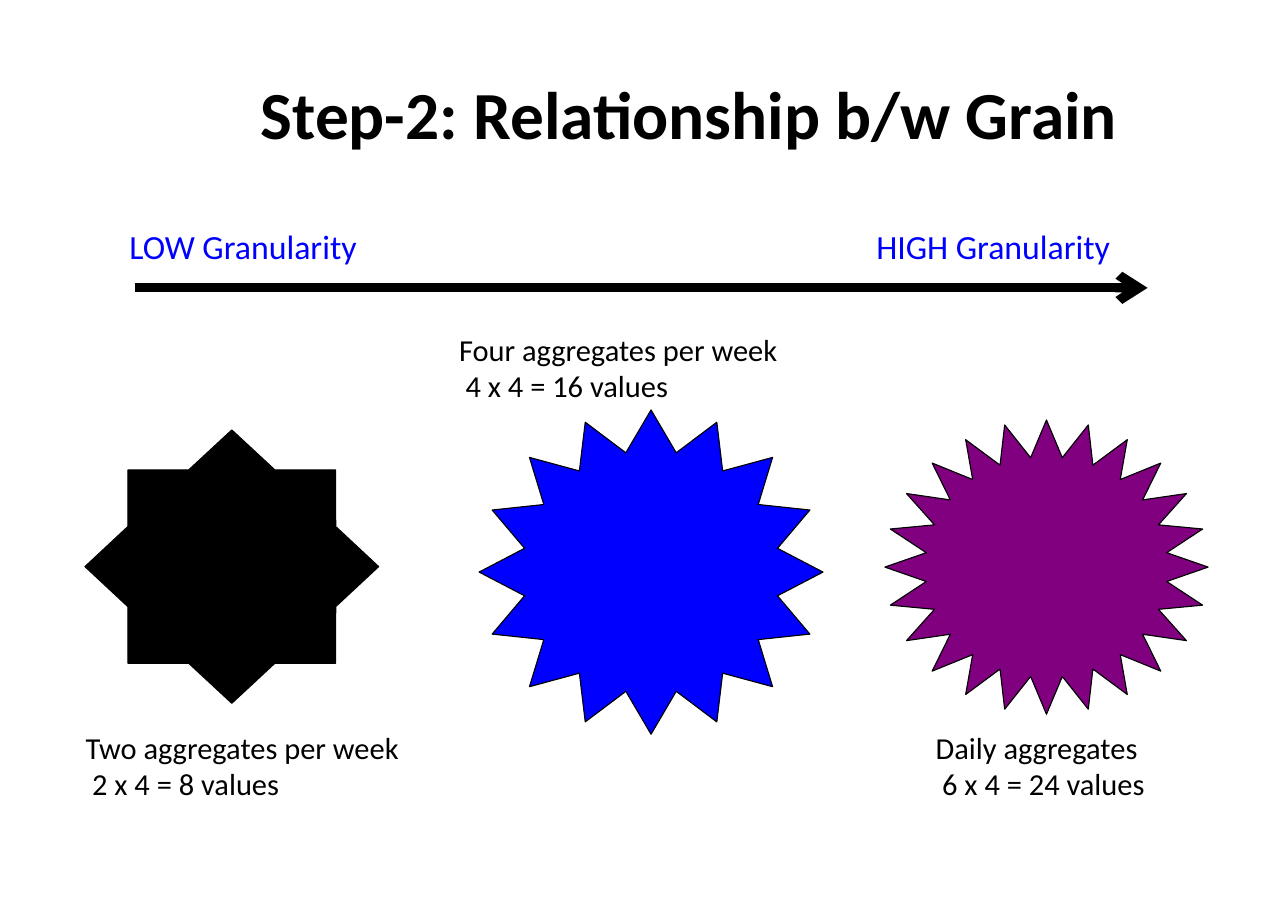
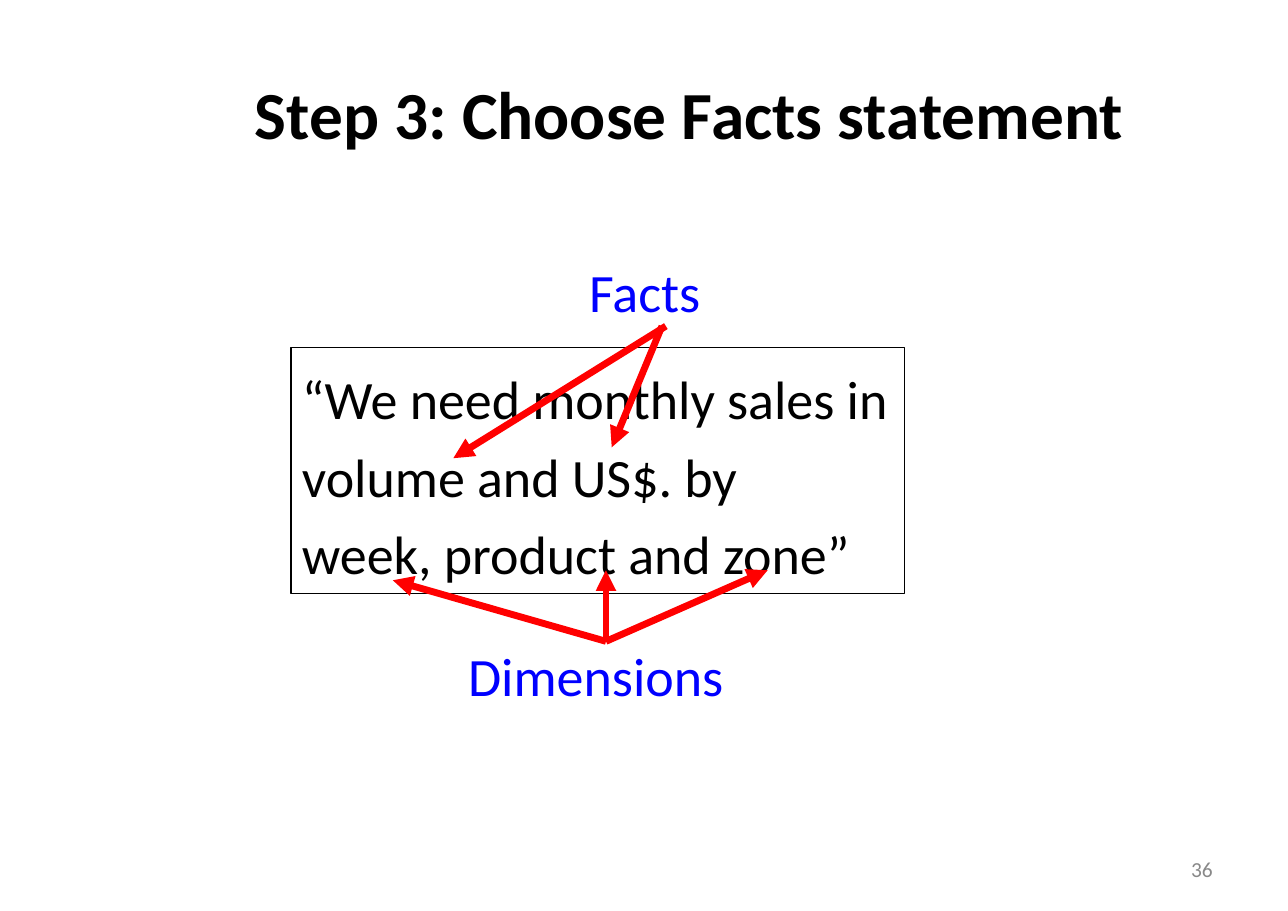
"""Build two slides on the grain and the facts of a data model."""
from dataclasses import dataclass

import pptx
from lxml import etree
from pptx import slide as sl
from pptx import util as u
from pptx.dml.color import RGBColor
from pptx.enum import shapes, text
from pptx.oxml import ns

WIDE, HIGH = 11.69, 8.27
FONT = "Calibri"
BLACK = RGBColor(0x00, 0x00, 0x00)
BLUE = RGBColor(0x00, 0x00, 0xFF)
RED = RGBColor(0xFF, 0x00, 0x00)
PURPLE = RGBColor(0x80, 0x00, 0x80)
GREY = RGBColor(0x89, 0x89, 0x89)
STAR = shapes.MSO_SHAPE
ALIGN = text.PP_ALIGN


@dataclass
class Box:
    """A frame in percent of the slide's width and height."""
    x: float
    y: float
    w: float
    h: float

    def frame(self) -> tuple[u.Length, ...]:
        """Return left, top, width and height as lengths."""
        return across(self.x), down(self.y), across(self.w), down(self.h)


@dataclass
class Label:
    """Lines of text in one style; a hang indents every line but the first."""
    box: Box
    lines: list[str]
    size: float
    color: RGBColor = BLACK
    hang: float = 0
    space: float = 1
    border: bool = False


@dataclass
class Burst:
    """A filled star with its depth and caption."""
    kind: STAR
    box: Box
    depth: float
    fill: RGBColor
    label: Label


@dataclass
class Arrow:
    """A line from a start to a tip, in percent."""
    start: tuple[float, float]
    tip: tuple[float, float]


def across(share: float) -> u.Length:
    """Turn a percentage of the width into a length."""
    return u.Inches(WIDE * share / 100)


def down(share: float) -> u.Length:
    """Turn a percentage of the height into a length."""
    return u.Inches(HIGH * share / 100)


def caption(box: Box, *lines: str) -> Label:
    """Return the label of a star."""
    return Label(box, list(lines), 19.9, hang=0.06)


TITLE = Box(12.1, 4, 82.9, 16.7)
NUMBER = Box(71.7, 92.7, 23.4, 5.3)

ENDS = [
    Label(Box(9.2, 24.2, 19.6, 5.7), ["LOW Granularity"], 22.1, BLUE),
    Label(Box(67.2, 24.2, 20.1, 5.7), ["HIGH Granularity"], 22.1, BLUE),
]
BURSTS = [
    Burst(STAR.STAR_24_POINT, Box(68.7, 46.1, 25.1, 32.3), 0.375, PURPLE,
          caption(Box(71.8, 79.4, 18, 9.3), "Daily aggregates", "6 x 4 = 24 values")),
    Burst(STAR.STAR_16_POINT, Box(37.2, 45, 26.7, 35.6), 0.375, BLUE,
          caption(Box(34.8, 35.7, 26.6, 9.3), "Four aggregates per week", "4 x 4 = 16 values")),
    Burst(STAR.STAR_8_POINT, Box(6.6, 47.2, 22.8, 30), 0.383, BLACK,
          caption(Box(5.8, 79.4, 26.2, 9.3), "Two aggregates per week", "2 x 4 = 8 values")),
]
SCALE = Arrow((10.5, 31.6), (89.1, 31.6))

QUOTE = ["“We need monthly sales in", "volume and US$. by", "week, product and zone”"]
NOTES = [
    Label(Box(22.6, 38.1, 47.6, 27.1), QUOTE, 35.3, space=1.2, border=True),
    Label(Box(44.9, 27.8, 10.4, 8.3), ["Facts"], 35.3, BLUE),
    Label(Box(35.5, 69.9, 21.7, 8.3), ["Dimensions"], 35.3, BLUE),
]
HUB = (47.05, 70.4)
FACTS = [Arrow((51.7, 35.8), (35.2, 50.3)), Arrow((51.4, 35.8), (47.5, 49.1))]
AXES = [Arrow(HUB, tip) for tip in [(47.05, 62.6), (59.6, 62.6), (30.5, 63.7)]]


def style(para, size: float, color: RGBColor, bold: bool = False) -> None:
    """Set the font of a paragraph."""
    font = para.font
    font.name, font.size, font.bold = FONT, u.Pt(size), bold
    font.color.rgb = color


def outline(shape) -> None:
    """Give a shape a thin black line."""
    shape.line.color.rgb = BLACK
    shape.line.width = u.Pt(0.75)


def write(page: sl.Slide, label: Label) -> None:
    """Draw a label that grows with its text."""
    shape = page.shapes.add_textbox(*label.box.frame())
    if label.border:
        outline(shape)
    frame = shape.text_frame
    frame.word_wrap = False
    frame.auto_size = text.MSO_AUTO_SIZE.SHAPE_TO_FIT_TEXT
    frame.text = "\n".join(label.lines)
    for row, para in enumerate(frame.paragraphs):
        if row and label.hang:
            para._p.get_or_add_pPr().set("marL", str(u.Inches(label.hang)))
        para.line_spacing = label.space
        style(para, label.size, label.color)


def fixed(page: sl.Slide, box: Box, words: str, align: ALIGN,
          size: float, color: RGBColor, bold: bool = False) -> None:
    """Draw a line of text centred in the height of a fixed frame."""
    frame = page.shapes.add_textbox(*box.frame()).text_frame
    frame.word_wrap = True
    frame.vertical_anchor = text.MSO_ANCHOR.MIDDLE
    frame.margin_left = frame.margin_right = u.Inches(0.11)
    frame.margin_top = frame.margin_bottom = u.Inches(0.06)
    frame.text = words
    para = frame.paragraphs[0]
    para.alignment = align
    style(para, size, color, bold)


def burst(page: sl.Slide, item: Burst) -> None:
    """Draw a star and its caption."""
    shape = page.shapes.add_shape(item.kind, *item.box.frame())
    shape.shadow.inherit = False
    shape.adjustments[0] = item.depth
    shape.fill.solid()
    shape.fill.fore_color.rgb = item.fill
    outline(shape)
    write(page, item.label)


def point(page: sl.Slide, arrow: Arrow, color: RGBColor, width: float, head: str) -> None:
    """Draw an arrow with a head at its tip."""
    (left, top), (right, low) = arrow.start, arrow.tip
    line = page.shapes.add_connector(shapes.MSO_CONNECTOR.STRAIGHT, across(left),
                                     down(top), across(right), down(low))
    line.line.color.rgb = color
    line.line.width = u.Pt(width)
    etree.SubElement(line.line._get_or_add_ln(), ns.qn("a:tailEnd"), type=head)
    etree.SubElement(line._element.spPr, ns.qn("a:effectLst"))


def start(deck, title: str) -> sl.Slide:
    """Add a blank slide with a title."""
    page = deck.slides.add_slide(deck.slide_layouts[6])
    fixed(page, TITLE, title, ALIGN.CENTER, 44, BLACK, True)
    return page


def grain(deck) -> None:
    """Build the slide on granularity."""
    page = start(deck, "Step-2: Relationship b/w Grain")
    for item in BURSTS:
        burst(page, item)
    point(page, SCALE, BLACK, 6, "arrow")
    for label in ENDS:
        write(page, label)


def facts(deck) -> None:
    """Build the slide on facts and dimensions."""
    page = start(deck, "Step 3: Choose Facts statement")
    fixed(page, NUMBER, "36", ALIGN.RIGHT, 14, GREY)
    for label in NOTES:
        write(page, label)
    for arrow in FACTS + AXES:
        point(page, arrow, RED, 4.5, "triangle")


def main() -> None:
    """Build and save the deck."""
    deck = pptx.Presentation()
    deck.slide_width, deck.slide_height = u.Inches(WIDE), u.Inches(HIGH)
    grain(deck)
    facts(deck)
    deck.save("out.pptx")


if __name__ == "__main__":
    main()
